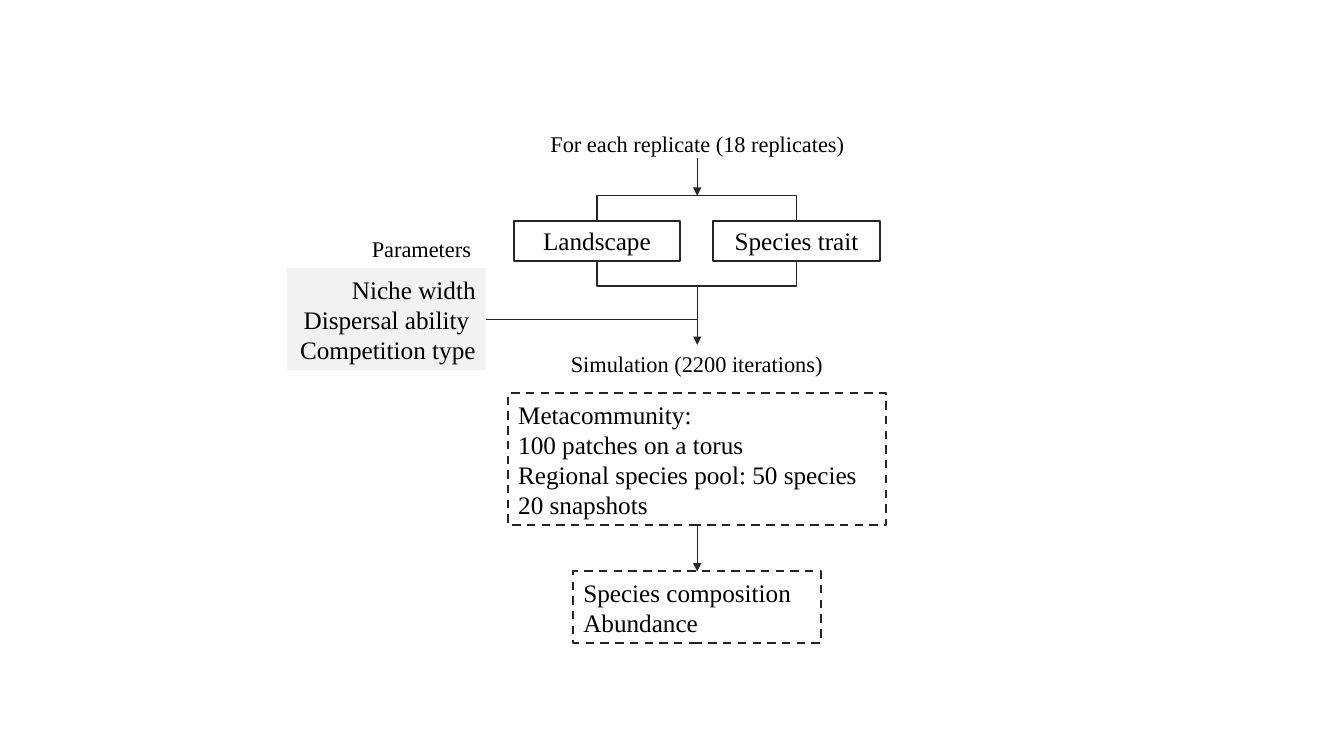
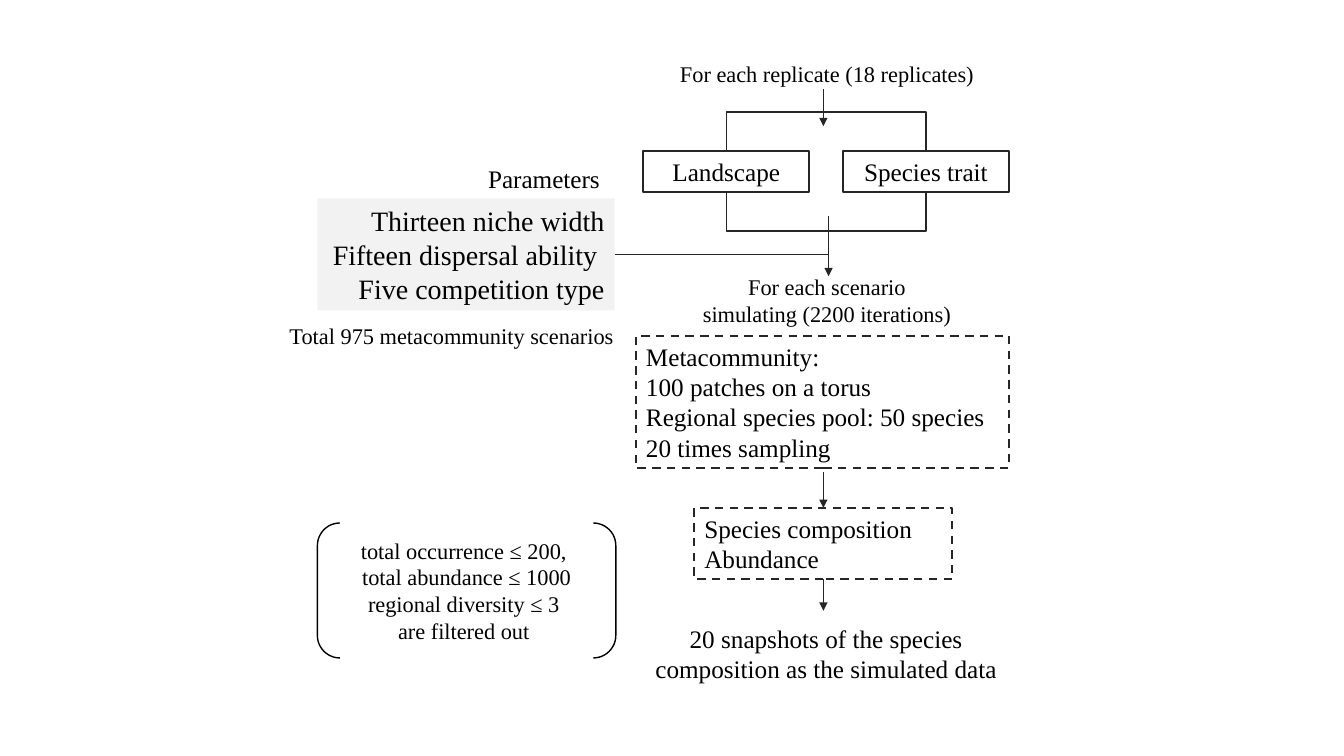
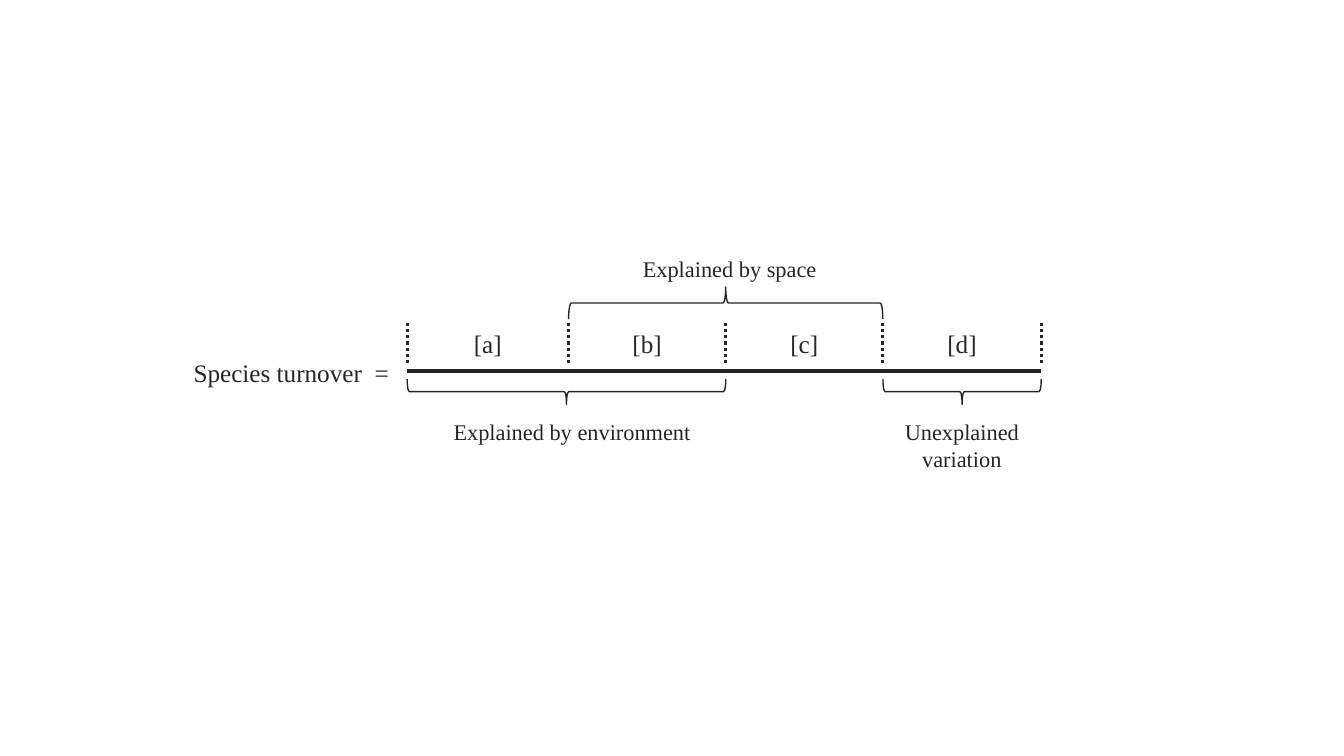
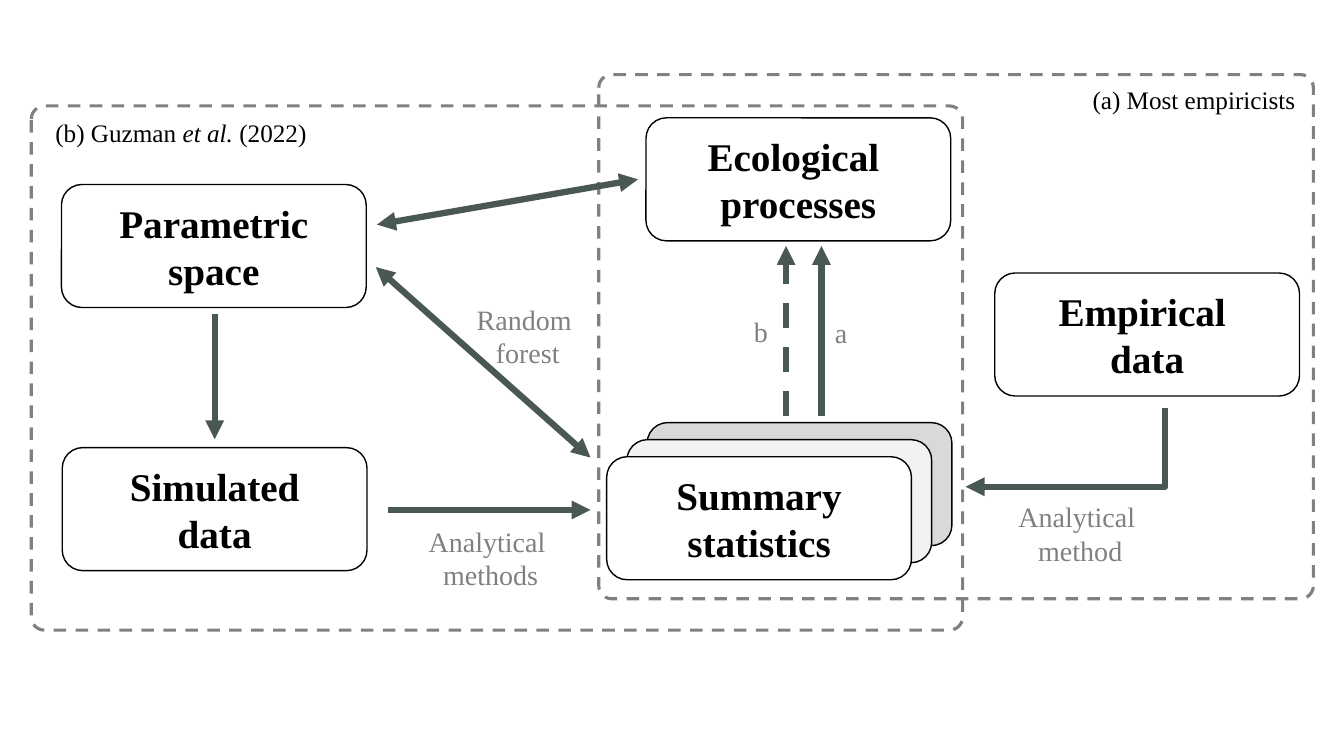
import pptx
import pptx.dml.color
import pptx.enum.dml
import pptx.enum.shapes
import pptx.enum.text
import pptx.oxml.ns
import pptx.util
from lxml import etree

Cm, Pt = pptx.util.Cm, pptx.util.Pt
MSO = pptx.enum.shapes.MSO_SHAPE
CONN = pptx.enum.shapes.MSO_CONNECTOR
DASH = pptx.enum.dml.MSO_LINE
PP = pptx.enum.text.PP_ALIGN
ANCHOR = pptx.enum.text.MSO_ANCHOR
qn = pptx.oxml.ns.qn

FONT = "Times New Roman"
INK, BLACK, GREY, GREEN = "262626", "000000", "808080", "4A5852"
PALE, MID, WHITE = "F2F2F2", "D9D9D9", "FFFFFF"
TOP, LEFT, BOTTOM, RIGHT = range(4)

# Content: positions are (left, top, width, height) in centimetres
SOURCES = ["Landscape", "Species trait"]
SOURCE_STEP, SOURCE_W, SOURCE_H = 5.03, 4.19, 1.02
POOL = ["Metacommunity:", "100 patches on a torus",
        "Regional species pool: 50 species"]
RESULT = ["Species composition", "Abundance"]

FLOWS = [
    {
        "sources": (12.95, 5.56), "depth": 0.63,
        "params": ((7.24, 6.76, 5, 2.57), 18,
                   ["Niche width", "Dispersal ability ", "Competition type"]),
        "join_x": 17.57,
        "pool": ((12.81, 9.91, 9.52, 3.33), POOL + ["20 snapshots"]),
        "result": (14.45, 14.4, 6.24, 1.8),
        "arrows": [(17.57, 3.99, 4.93), (17.57, 7.21, 8.69)],
        "labels": [
            ((13.41, 3.15, 8.33, 0.94), 16, PP.CENTER,
             ["For each replicate (18 replicates)"]),
            ((13.94, 8.69, 7.24, 0.94), 16, PP.CENTER,
             ["Simulation (2200 iterations)"]),
            ((8.56, 5.79, 3.56, 0.94), 16, PP.RIGHT, ["Parameters"]),
        ],
    },
    {
        "sources": (16.21, 3.81), "depth": 0.99,
        "params": ((8, 5, 7.49, 2.82), 20,
                   ["Thirteen niche width", "Fifteen dispersal ability ",
                    "Five competition type"]),
        "join_x": 20.88,
        "pool": ((16.03, 8.46, 9.4, 3.33), POOL + ["20 times sampling"]),
        "result": (17.5, 12.8, 6.5, 1.8),
        "pool_gap": 0.1,
        "arrows": [(20.75, 2.24, 3.18), (20.88, 5.44, 6.96)],
        "last_arrow": 15.39,
        "labels": [
            ((16.46, 1.4, 8.76, 0.94), 16, PP.CENTER,
             ["For each replicate (18 replicates)"]),
            ((16.66, 6.76, 8.36, 1.63), 16, PP.CENTER,
             ["For each scenario", "simulating (2200 iterations)"]),
            ((11.18, 3.99, 4.19, 1.02), 18, PP.RIGHT, ["Parameters"]),
            ((6.68, 8, 9.4, 0.94), 16, PP.CENTER,
             ["Total 975 metacommunity scenarios"]),
            ((15.65, 15.57, 10.34, 1.8), 18, PP.CENTER,
             ["20 snapshots of the species composition as the simulated data"]),
        ],
        "filter": ((8, 13.18, 7.52, 3.4),
                   ["total occurrence ≤ 200, ", "total abundance ≤ 1000",
                    "regional diversity ≤ 3 ", "are filtered out "]),
    },
]

TICKS = [10.26, 14.33, 18.29, 22.25, 26.24]
FRACTIONS = ["[a]", "[b]", "[c]", "[d]"]
# first tick, last tick, top, depth, rotation
BRACES = [(0, 2, 9.55, 0.64, 90), (1, 3, 7.23, 0.81, 270), (3, 4, 9.55, 0.64, 90)]
TURNOVER_LABELS = [
    ((11.18, 10.41, 6.53, 0.94), 16, PP.LEFT, ["Explained by environment"]),
    ((15.95, 6.3, 4.95, 0.94), 16, PP.LEFT, ["Explained by space"]),
    ((21.84, 10.41, 4.8, 1.63), 16, PP.CENTER, ["Unexplained variation"]),
    ((4.6, 8.89, 5.64, 1.02), 18, PP.CENTER, ["Species turnover  = "]),
]

CARD_W, CARD_H = 7.68, 3.1
CARDS = [
    (1.55, 4.65, WHITE, ["Parametric", "space"]),
    (25.07, 6.88, WHITE, ["Empirical ", "data"]),
    (16.31, 10.65, MID, []),
    (15.8, 11.08, PALE, []),
    (15.29, 11.51, WHITE, ["Summary", "statistics"]),
    (1.57, 11.28, None, ["Simulated", "data"]),
    (16.28, 2.97, WHITE, ["Ecological ", "processes"]),
]
FRAMES = [(15.09, 1.88, 18.01, 13.21), (0.79, 2.67, 23.47, 13.21)]
# from, to, arrowhead at both ends, dash
PROCESS_ARROWS = [
    ((9.47, 6.73), (14.88, 11.53), True, None),
    ((9.5, 5.66), (16.08, 4.52), True, None),
    ((5.41, 7.92), (5.41, 11.07), False, None),
    ((9.78, 12.85), (14.88, 12.85), False, None),
    ((19.81, 10.49), (19.81, 6.2), False, DASH.DASH),
    ((20.7, 10.49), (20.7, 6.2), False, None),
]
METHOD_LABELS = [
    ((9.19, 13.08, 6.35, 1.96), ["Analytical ", "methods"]),
    ((11.13, 7.49, 4.34, 1.96), ["Random ", "forest"]),
    ((24.05, 12.47, 6.35, 1.96), ["Analytical ", "method"]),
    ((18.64, 7.8, 1.07, 1.12), ["b"]),
    ((20.73, 7.82, 0.94, 1.12), ["a"]),
]
CAPTIONS = [
    ((1.04, 2.82, 7.04, 1.02),
     [[("(b) Guzman ", False), ("et al. ", True), ("(2022)", False)]]),
    ((27.08, 2.01, 6.02, 1.02), ["(a) Most empiricists"]),
]


# Helpers
def rgb(value):
    return pptx.dml.color.RGBColor.from_string(value)


def write(sp, lines, size=18, color=BLACK, bold=False, align=PP.LEFT,
          anchor=ANCHOR.MIDDLE):
    """Each line is a string or a list of (text, italic) pieces."""
    tf = sp.text_frame
    tf.word_wrap = True
    tf.vertical_anchor = anchor
    for i, line in enumerate(lines):
        p = tf.paragraphs[0] if i == 0 else tf.add_paragraph()
        p.alignment = align
        for text, italic in [(line, False)] if isinstance(line, str) else line:
            r = p.add_run()
            r.text = text
            r.font.name, r.font.size = FONT, Pt(size)
            r.font.bold, r.font.italic = bold, italic
            r.font.color.rgb = rgb(color)


def label(s, at, lines, **fmt):
    sp = s.shapes.add_textbox(*map(Cm, at))
    write(sp, lines, anchor=ANCHOR.TOP, **fmt)


def shape(s, kind, at, fill=None, line=None, width=1, dash=None):
    sp = s.shapes.add_shape(kind, *map(Cm, at))
    sp.shadow.inherit = False
    if fill:
        sp.fill.solid()
        sp.fill.fore_color.rgb = rgb(fill)
    else:
        sp.fill.background()
    if line:
        sp.line.color.rgb = rgb(line)
        sp.line.width = Pt(width)
        sp.line.dash_style = dash
    else:
        sp.line.fill.background()
    return sp


def span(s, kind, x1, x2, y, depth, rotation):
    """A brace or bracket turned to lie between x1 and x2."""
    length = x2 - x1
    at = ((x1 + x2 - depth) / 2, y + (depth - length) / 2, depth, length)
    sp = shape(s, kind, at, line=INK)
    sp.rotation = rotation
    return sp


def connect(s, start, end, color=INK, width=1, dash=None, head=False,
            tail=False, kind=CONN.STRAIGHT):
    c = s.shapes.add_connector(kind, *map(Cm, start + end))
    c.line.color.rgb = rgb(color)
    c.line.width = Pt(width)
    c.line.dash_style = dash
    ln = c.line._get_or_add_ln()
    for tag, wanted in (("a:headEnd", head), ("a:tailEnd", tail)):
        if wanted:
            etree.SubElement(ln, qn(tag), type="triangle")
    etree.SubElement(c._element.spPr, qn("a:effectLst"))
    return c


# Slides 1 and 2: simulation flowchart
def flowchart(s, flow):
    x, y = flow["sources"]
    for i, name in enumerate(SOURCES):
        sp = shape(s, MSO.RECTANGLE, (x + i * SOURCE_STEP, y, SOURCE_W, SOURCE_H),
                   line=INK, width=1.5)
        write(sp, [name], align=PP.CENTER)

    # brackets that join the two sources
    x1, depth = x + SOURCE_W / 2, flow["depth"]
    for top, rotation in ((y - depth, 90), (y + SOURCE_H, 270)):
        bracket = span(s, MSO.LEFT_BRACKET, x1, x1 + SOURCE_STEP, top, depth,
                       rotation)
        bracket.adjustments[0] = 0

    # parameters
    at, size, lines = flow["params"]
    params = shape(s, MSO.RECTANGLE, at, fill=PALE)
    write(params, lines, size=size, align=PP.RIGHT)
    middle = at[1] + at[3] / 2
    c = connect(s, (at[0] + at[2], middle), (flow["join_x"], middle))
    c.begin_connect(params, RIGHT)

    # metacommunity and result
    at, lines = flow["pool"]
    pool = shape(s, MSO.RECTANGLE, at, line=INK, width=1.5, dash=DASH.DASH)
    write(pool, lines)
    out = flow["result"]
    result = shape(s, MSO.RECTANGLE, out, line=INK, width=1.5, dash=DASH.DASH)
    write(result, RESULT)
    mid, gap = out[0] + out[2] / 2, flow.get("pool_gap", 0)
    c = connect(s, (mid, at[1] + at[3] + gap), (mid, out[1]), tail=True)
    if not gap:
        c.begin_connect(pool, BOTTOM)
    c.end_connect(result, TOP)
    if "last_arrow" in flow:
        c = connect(s, (mid, out[1] + out[3]), (mid, flow["last_arrow"]), tail=True)
        c.begin_connect(result, BOTTOM)

    for ax, y1, y2 in flow["arrows"]:
        connect(s, (ax, y1), (ax, y2), tail=True)
    for at, size, align, lines in flow["labels"]:
        label(s, at, lines, size=size, align=align)
    if "filter" in flow:
        at, lines = flow["filter"]
        sp = shape(s, MSO.DOUBLE_BRACKET, at, line=BLACK)
        write(sp, lines, size=16, align=PP.CENTER)


# Slide 3: partition of species turnover
def turnover(s):
    connect(s, (TICKS[0], 9.35), (TICKS[-1], 9.35), width=2.25)
    for x in TICKS:
        connect(s, (x, 8.13), (x, 9.19), width=2.25, dash=DASH.ROUND_DOT)
    for name, x1, x2 in zip(FRACTIONS, TICKS, TICKS[1:]):
        label(s, ((x1 + x2 - 1.4) / 2, 8.15, 1.4, 1.02), [name],
              color=INK, align=PP.CENTER)
    for first, last, y, depth, rotation in BRACES:
        span(s, MSO.RIGHT_BRACE, TICKS[first], TICKS[last], y, depth, rotation)
    for at, size, align, lines in TURNOVER_LABELS:
        label(s, at, lines, size=size, color=INK, align=align)


# Slide 4: from processes to statistics
def processes(s):
    for x, y, fill, lines in CARDS:
        sp = shape(s, MSO.ROUNDED_RECTANGLE, (x, y, CARD_W, CARD_H),
                   fill=fill, line=BLACK)
        write(sp, lines, size=28, bold=True, align=PP.CENTER)
    for at in FRAMES:
        sp = shape(s, MSO.ROUNDED_RECTANGLE, at, line=GREY, width=2.25,
                   dash=DASH.DASH)
        sp.adjustments[0] = 0.025
    for start, end, both, dash in PROCESS_ARROWS:
        connect(s, start, end, color=GREEN, width=4.5, dash=dash, head=both,
                tail=True)

    # one-bend arrow, a quarter turn clockwise
    c = connect(s, (25.86, 8.76), (27.84, 13.79), color=GREEN, width=4.5,
                tail=True, kind=CONN.ELBOW)
    c._element.spPr.find(qn("a:prstGeom")).set("prst", "bentConnector2")
    c._element.spPr.find(qn("a:xfrm")).set("rot", str(90 * 60000))

    for at, lines in METHOD_LABELS:
        label(s, at, lines, size=20, color=GREY, align=PP.CENTER)
    for at, lines in CAPTIONS:
        label(s, at, lines, align=PP.CENTER)


def main():
    prs = pptx.Presentation()
    prs.slide_width, prs.slide_height = Cm(33.87), Cm(19.05)
    blank = prs.slide_layouts[6]
    for flow in FLOWS:
        flowchart(prs.slides.add_slide(blank), flow)
    turnover(prs.slides.add_slide(blank))
    processes(prs.slides.add_slide(blank))
    prs.save("out.pptx")


if __name__ == "__main__":
    main()
